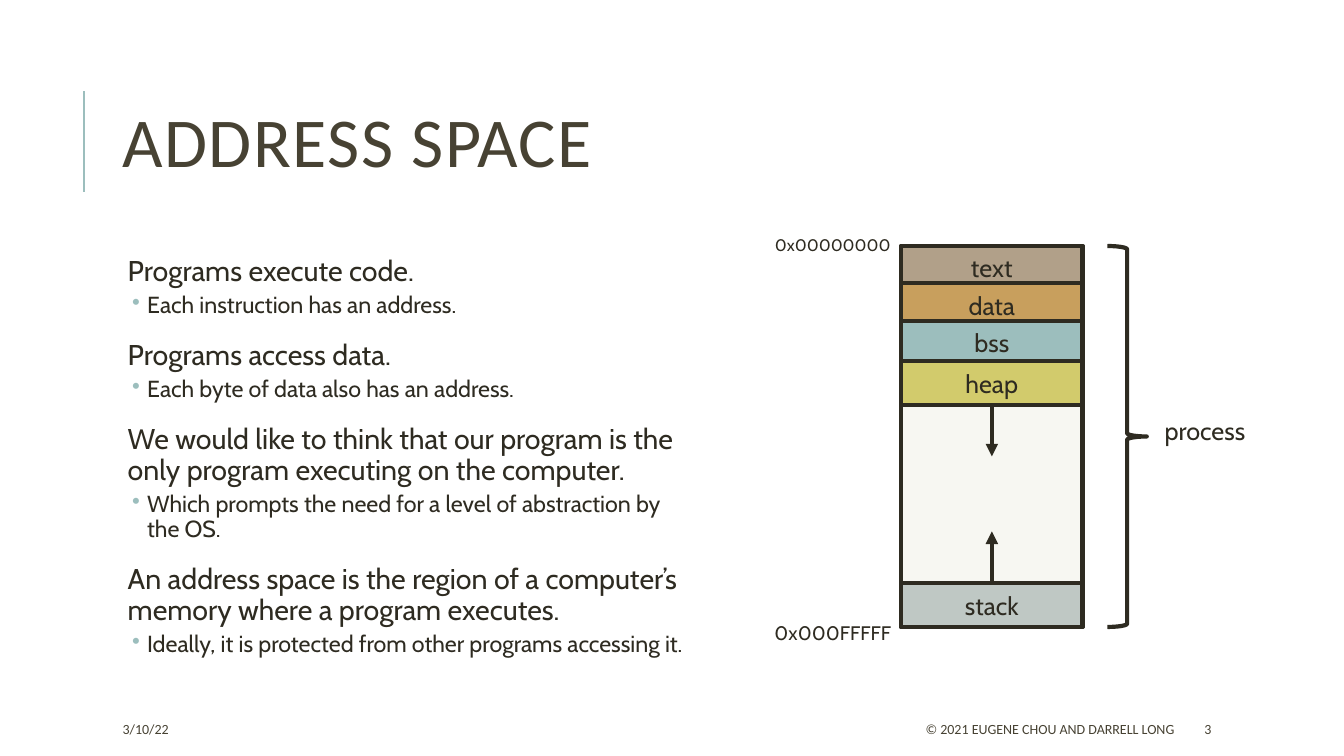
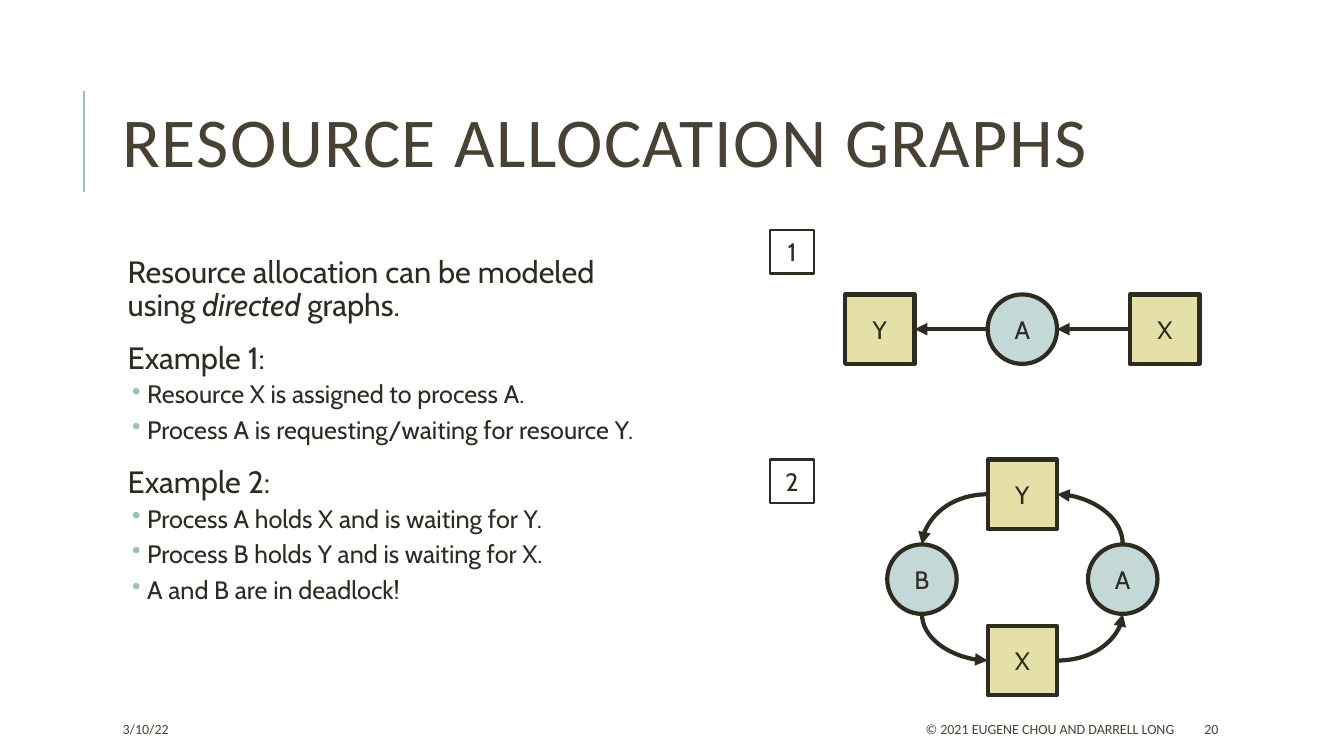
"""Build two lecture slides on address spaces and resource allocation graphs."""
from lxml.etree import SubElement
from pptx import Presentation
from pptx.dml.color import RGBColor
from pptx.enum.shapes import MSO_CONNECTOR as Wire, MSO_SHAPE as Preset
from pptx.enum.text import MSO_ANCHOR as Anchor, PP_ALIGN as Align
from pptx.oxml.ns import qn
from pptx.util import Cm, Pt

INK, TITLE, ACCENT, WHITE = "2E2B21", "474233", "9CBEBD", "FFFFFF"
RESOURCE, PROCESS = "E4E0A7", "C4D8D7"
BODY_FONT, TITLE_FONT = "Cabin", "Calibri"
TOP, LEFT, BOTTOM, RIGHT = range(4)
NODE = 1.75


def color(code):
    return RGBColor.from_string(code)


def style(paragraph, size, code=INK, face=BODY_FONT):
    font = paragraph.font
    font.size, font.name = Pt(size), face
    font.color.rgb = color(code)


def write(frame, text, size, align=Align.CENTER, code=INK, face=BODY_FONT):
    frame.vertical_anchor = Anchor.MIDDLE
    para = frame.paragraphs[0]
    para.alignment = align
    para.add_run().text = text
    style(para, size, code, face)
    return para


def text_box(page, left, top, width, height):
    frame = page.shapes.add_textbox(Cm(left), Cm(top), Cm(width), Cm(height)).text_frame
    frame.word_wrap = True
    return frame


def label(page, text, place, size, *look):
    return write(text_box(page, *place), text, size, *look)


def shape(page, preset, place, fill=None, text="", weight=3):
    item = page.shapes.add_shape(preset, *map(Cm, place))
    item.shadow.inherit = False
    if fill:
        item.fill.solid()
        item.fill.fore_color.rgb = color(fill)
    else:
        item.fill.background()
    item.line.color.rgb = color(INK)
    item.line.width = Pt(weight)
    if text:
        write(item.text_frame, text, 18)
    return item


def line(page, start=(0, 0), end=(0, 0), code=INK, weight=3, kind=Wire.STRAIGHT):
    wire = page.shapes.add_connector(kind, *map(Cm, (*start, *end)))
    wire.line.color.rgb = color(code)
    wire.line.width = Pt(weight)
    SubElement(wire._element.spPr, qn("a:effectLst"))
    return wire


def arrowhead(wire, end="a:tailEnd"):
    SubElement(wire.line._get_or_add_ln(), qn(end), type="triangle")


def link(page, start, start_side, finish, finish_side, end="a:tailEnd", curved=False):
    """Join two nodes; a curve leaves sideways and arrives vertically."""
    wire = line(page, kind=Wire.CURVE if curved else Wire.STRAIGHT)
    wire.begin_connect(start, start_side)
    wire.end_connect(finish, finish_side)
    joints = (("a:stCxn", start, start_side), ("a:endCxn", finish, finish_side))
    for tag, node, side in joints:
        if node.auto_shape_type == Preset.OVAL:
            wire._element.find(".//" + qn(tag)).set("idx", str(side * 2))
    if curved:
        wire._element.spPr.find(qn("a:prstGeom")).set("prst", "curvedConnector2")
    arrowhead(wire, end)


def bullet(para):
    props = para._p.get_or_add_pPr()
    props.set("marL", str(Cm(0.74)))
    props.set("indent", str(Cm(-0.38)))
    SubElement(SubElement(props, qn("a:buClr")), qn("a:srgbClr"), val=ACCENT)
    SubElement(props, qn("a:buChar"), char="•")


def body(page, width, sizes, items):
    """Write (level, text) items; text between asterisks is italic."""
    frame = text_box(page, 2.84, 6.35, width, 11.18)
    frame.margin_left = frame.margin_right = Cm(0.13)
    frame.margin_top = frame.margin_bottom = Cm(0.13)
    for index, (level, text) in enumerate(items):
        para = frame.add_paragraph() if index else frame.paragraphs[0]
        if level:
            bullet(para)
        else:
            para._p.get_or_add_pPr().set("marL", str(Cm(0.25)))
        para.line_spacing = 0.9
        para.space_before = Pt((12, 2)[level] if index else 0)
        para.space_after = Pt((2, 4)[level])
        for part, words in enumerate(text.split("*")):
            span = para.add_run()
            span.text = words
            if part % 2:
                span.font.italic = True
        style(para, sizes[level])


def new_page(deck, title, number):
    page = deck.slides.add_slide(deck.slide_layouts[6])
    line(page, (2.11, 4.83), (2.11, 2.29), ACCENT, 1.5)
    para = label(page, title, (2.84, 1.63, 27, 4.17), 50, Align.LEFT, TITLE, TITLE_FONT)
    para.line_spacing = 0.8
    para.runs[0]._r.get_or_add_rPr().set("spc", "100")
    for text, left, width, align in (
        ("3/10/22", 2.84, 6, Align.LEFT),
        ("© 2021 EUGENE CHOU AND DARRELL LONG", 13.46, 16.38, Align.RIGHT),
        (number, 30.1, 2.69, Align.LEFT),
    ):
        label(page, text, (left, 17.98, width, 0.76), 10, align, TITLE, TITLE_FONT)
    return page


def address_space(deck):
    page = new_page(deck, "ADDRESS SPACE", "3")
    body(page, 14.71, (20.4, 16.6), (
        (0, "Programs execute code."),
        (1, "Each instruction has an address."),
        (0, "Programs access data."),
        (1, "Each byte of data also has an address."),
        (0, "We would like to think that our program is the only program "
            "executing on the computer."),
        (1, "Which prompts the need for a level of abstraction by the OS."),
        (0, "An address space is the region of a computer’s memory where "
            "a program executes."),
        (1, "Ideally, it is protected from other programs accessing it."),
    ))
    left, top, width, height = 22.71, 6.2, 4.57, 9.6
    shape(page, Preset.RECTANGLE, (left, top, width, height), "F7F7F2")
    segments = {}
    for name, offset, fill in (
        ("text", 0, "B1A089"),
        ("data", 0.94, "C89F5D"),
        ("bss", 1.88, ACCENT),
        ("heap", 2.9, "D2CB6C"),
        ("stack", 8.5, "BFC8C4"),
    ):
        place = (left, top + offset, width, 1.1)
        segments[name] = shape(page, Preset.RECTANGLE, place, fill, name)
    middle = left + width / 2
    for name, side, tip in (("stack", TOP, 13.39), ("heap", BOTTOM, 11.5)):
        growth = line(page, end=(middle, tip))
        growth.begin_connect(segments[name], side)
        arrowhead(growth)
    label(page, "0x000FFFFF", (18.59, 15.52, 4.8, 0.86), 14)
    label(page, "0x00000000", (18.59, 5.79, 4.8, 0.76), 12)
    shape(page, Preset.RIGHT_BRACE, (27.91, top, 0.99, height))
    label(page, "process", (28.7, 10.34, 3.33, 1.02), 18)


def resource(page, name, left, top):
    return shape(page, Preset.RECTANGLE, (left, top, NODE, NODE), RESOURCE, name)


def process(page, name, left, top):
    return shape(page, Preset.OVAL, (left, top, NODE, NODE), PROCESS, name)


def allocation_graphs(deck):
    page = new_page(deck, "RESOURCE ALLOCATION GRAPHS", "20")
    body(page, 13.82, (22, 18), (
        (0, "Resource allocation can be modeled using *directed* graphs."),
        (0, "Example 1:"),
        (1, "Resource X is assigned to process A."),
        (1, "Process A is requesting/waiting for resource Y."),
        (0, "Example 2:"),
        (1, "Process A holds X and is waiting for Y."),
        (1, "Process B holds Y and is waiting for X."),
        (1, "A and B are in deadlock!"),
    ))
    center, row, step = 24.89, 7.42, 3.59
    chain_a = process(page, "A", center, row)
    chain_x = resource(page, "X", center + step, row)
    chain_y = resource(page, "Y", center - step, row)
    link(page, chain_x, LEFT, chain_a, RIGHT)
    link(page, chain_a, LEFT, chain_y, RIGHT)

    radius, ring_row = 2.53, 13.72
    ring_b = process(page, "B", center - radius, ring_row)
    ring_a = process(page, "A", center + radius, ring_row)
    ring_y = resource(page, "Y", center, 11.58)
    ring_x = resource(page, "X", center, 15.77)
    for box, box_side, circle, circle_side, end in (
        (ring_y, RIGHT, ring_a, TOP, "a:headEnd"),
        (ring_y, LEFT, ring_b, TOP, "a:tailEnd"),
        (ring_x, LEFT, ring_b, BOTTOM, "a:headEnd"),
        (ring_x, RIGHT, ring_a, BOTTOM, "a:tailEnd"),
    ):
        link(page, box, box_side, circle, circle_side, end, curved=True)
    for number, top in (("1", 5.79), ("2", 11.58)):
        shape(page, Preset.RECTANGLE, (19.41, top, 1.1, 1.1), WHITE, number, 1.75)


def main():
    deck = Presentation()
    deck.slide_width, deck.slide_height = Cm(33.87), Cm(19.05)
    address_space(deck)
    allocation_graphs(deck)
    deck.save("out.pptx")


if __name__ == "__main__":
    main()
